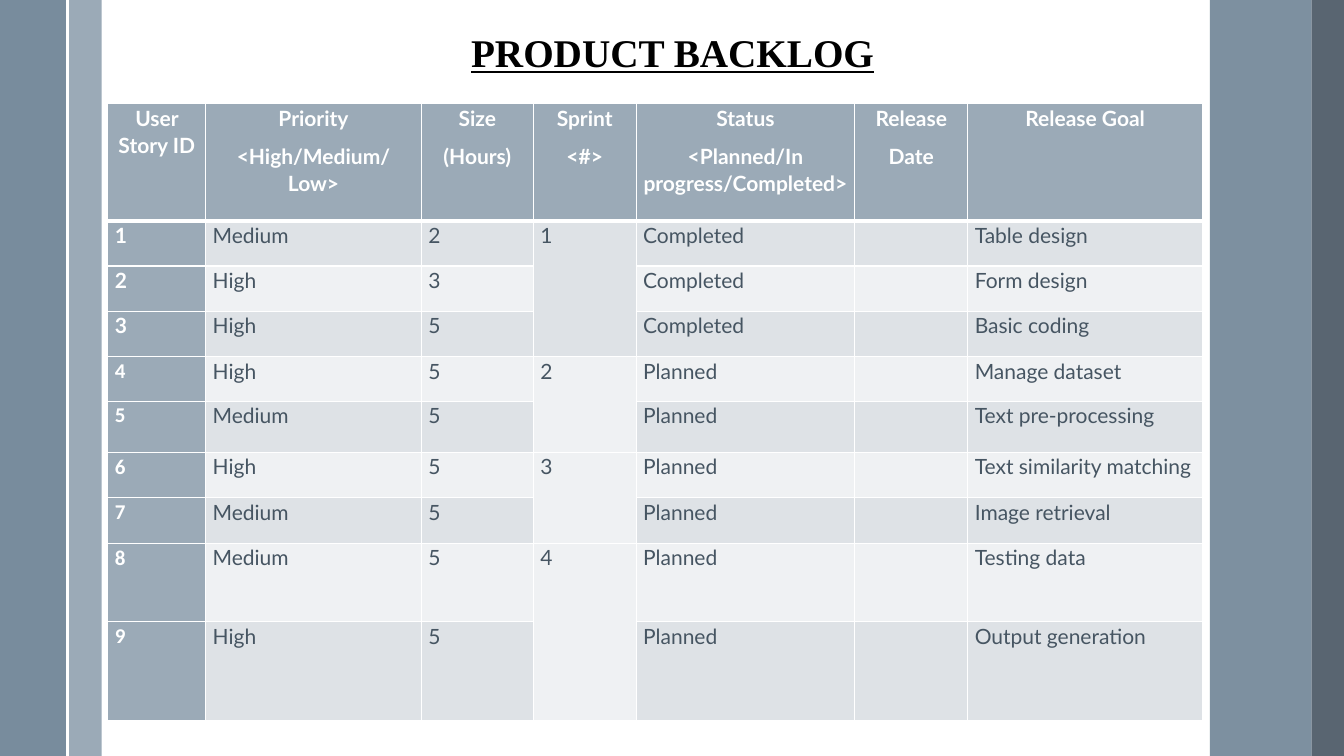
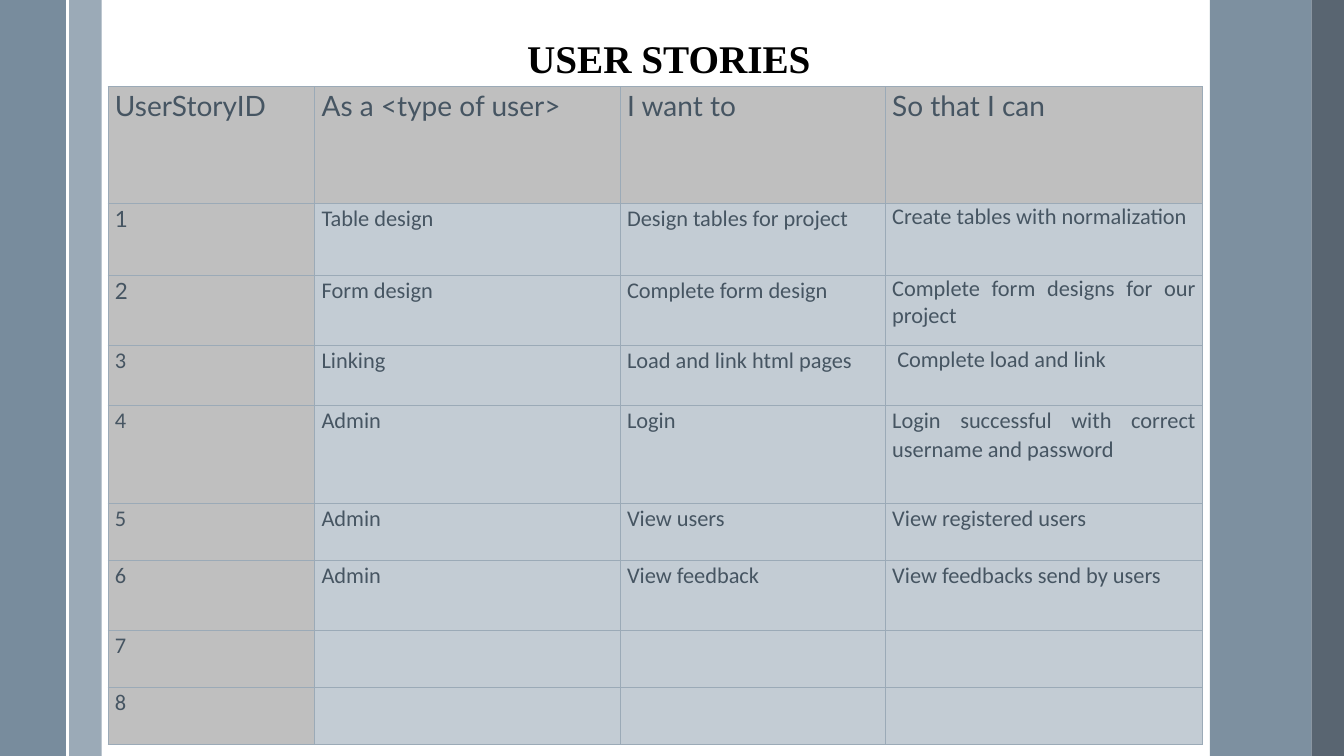
"""Build the product backlog and user stories slides."""
from lxml import etree
from pptx import Presentation
from pptx.dml.color import RGBColor
from pptx.enum.shapes import MSO_CONNECTOR, MSO_SHAPE
from pptx.enum.text import PP_ALIGN
from pptx.oxml.ns import qn
from pptx.util import Inches, Pt

RECT = MSO_SHAPE.RECTANGLE
STRAIGHT = MSO_CONNECTOR.STRAIGHT
LEFT, CENTER, JUSTIFY = PP_ALIGN.LEFT, PP_ALIGN.CENTER, PP_ALIGN.JUSTIFY

WHITE = RGBColor(0xFF, 0xFF, 0xFF)
BLACK = RGBColor(0x00, 0x00, 0x00)
INK = RGBColor(0x46, 0x55, 0x62)
CHARCOAL = RGBColor(0x47, 0x55, 0x62)
STEEL = RGBColor(0x6A, 0x80, 0x93)
MIST = RGBColor(0x9B, 0xAA, 0xB7)
PALE = RGBColor(0xC3, 0xCC, 0xD4)
GRAY = RGBColor(0xBF, 0xBF, 0xBF)
STRIPES = RGBColor(0xEF, 0xF1, 0xF3), RGBColor(0xDE, 0xE2, 0xE6)

SLIDE_W, SLIDE_H = 13.33, 7.5
TABLE_X = 1.07
BANDS = [
    (0.68, 0.33, MIST, 100),
    (0, 0.67, STEEL, 90),
    (12, 1.01, STEEL, 87),
    (13.01, 0.33, CHARCOAL, 90),
]
RULE_X = 0.67

BACKLOG_COLS = [0.97, 2.14, 1.11, 1.02, 2.17, 1.12, 2.33]
BACKLOG_ROWS = [1.16, 0.45, 0.45, 0.45, 0.44, 0.51, 0.45, 0.45, 0.78, 0.98]
BACKLOG = [
    ["User Story ID", "Priority\n<High/Medium/Low>", "Size\n(Hours)", "Sprint\n<#>",
     "Status\n<Planned/In progress/Completed>", "Release\nDate", "Release Goal"],
    ["1", "Medium", "2", "1", "Completed", "", "Table design"],
    ["2", "High", "3", "", "Completed", "", "Form design"],
    ["3", "High", "5", "", "Completed", "", "Basic coding"],
    ["4", "High", "5", "2", "Planned", "", "Manage dataset"],
    ["5", "Medium", "5", "", "Planned", "", "Text pre-processing"],
    ["6", "High", "5", "3", "Planned", "", "Text similarity matching"],
    ["7", "Medium", "5", "", "Planned", "", "Image retrieval"],
    ["8", "Medium", "5", "4", "Planned", "", "Testing data"],
    ["9", "High", "5", "", "Planned", "", "Output generation"],
]
SPRINT_COL = 3
SPRINT_SPANS = [(1, 3), (4, 5), (6, 7), (8, 9)]

STORY_COLS = [2.05, 3.03, 2.63, 3.15]
STORY_ROWS = [1.16, 0.71, 0.7, 0.59, 0.97, 0.57, 0.69, 0.57, 0.57]
STORIES = [
    ["UserStoryID", "As a <type of user>", "I want to", "So that I can"],
    ["1", "Table design", "Design tables for project", "Create tables with normalization"],
    ["2", "Form design", "Complete form design", "Complete form designs for our project"],
    ["3", "Linking", "Load and link html pages", "Complete load and link"],
    ["4", "Admin", "Login", "Login successful with correct username and password"],
    ["5", "Admin", "View users", "View registered users"],
    ["6", "Admin", "View feedback", "View feedbacks send by users"],
    ["7", "", "", ""],
    ["8", "", "", ""],
]


def add_band(s, x, w, color, opacity):
    """Add a full-height side band."""
    band = s.shapes.add_shape(RECT, Inches(x), 0, Inches(w), Inches(SLIDE_H))
    band.shadow.inherit = False
    band.line.fill.background()
    band.fill.solid()
    band.fill.fore_color.rgb = color
    if opacity < 100:
        clr = band.fill._xPr.find(".//" + qn("a:srgbClr"))
        etree.SubElement(clr, qn("a:alpha"), val=str(opacity * 1000))


def add_frame(prs):
    """Add a blank slide with the shared side bands."""
    s = prs.slides.add_slide(prs.slide_layouts[6])
    for i, band in enumerate(BANDS):
        add_band(s, *band)
        if i == 1:
            x = Inches(RULE_X)
            rule = s.shapes.add_connector(STRAIGHT, x, 0, x, Inches(SLIDE_H))
            rule.line.color.rgb = WHITE
            rule.line.width = Pt(1.5)
            etree.SubElement(rule._element.spPr, qn("a:effectLst"))
    return s


def add_title(s, text, x, y, w, align, underline=False):
    """Add the slide title."""
    box = s.shapes.add_textbox(Inches(x), Inches(y), Inches(w), Inches(0.57))
    tf = box.text_frame
    tf.word_wrap = True
    tf.text = text
    p = tf.paragraphs[0]
    p.alignment = align
    f = p.font
    f.name, f.size, f.bold, f.underline = "Times New Roman", Pt(28), True, underline
    f.color.rgb = BLACK


def add_grid(s, y, cols, rows):
    """Add an empty table with the given column widths and row heights."""
    shape = s.shapes.add_table(len(rows), len(cols), Inches(TABLE_X), Inches(y),
                               Inches(sum(cols)), Inches(sum(rows)))
    table = shape.table
    table.first_row = table.horz_banding = False
    for col, w in zip(table.columns, cols):
        col.width = Inches(w)
    for row, h in zip(table.rows, rows):
        row.height = Inches(h)
    return table


def style_cell(cell, fill, border, width, top=None, bottom=None):
    """Set the borders, fill and margins of a cell."""
    tc_pr = cell._tc.get_or_add_tcPr()
    sides = {"L": width, "R": width, "T": top or width, "B": bottom or width}
    for side, pts in sides.items():
        ln = etree.SubElement(tc_pr, qn("a:ln" + side), w=str(Pt(pts)))
        solid = etree.SubElement(ln, qn("a:solidFill"))
        etree.SubElement(solid, qn("a:srgbClr"), val=str(border))
    cell.fill.solid()
    cell.fill.fore_color.rgb = fill
    cell.margin_left = cell.margin_right = Inches(0.07)
    cell.margin_top = cell.margin_bottom = 0


def write_cell(cell, text, font, size, color, align, bold=False, spaced=True):
    """Write one paragraph per line of text into a cell."""
    if not text:
        return
    cell.text = text
    for p in cell.text_frame.paragraphs:
        p.alignment = align
        if spaced:
            p.line_spacing, p.space_after = 1.07, Pt(8)
        f = p.font
        f.name, f.size, f.bold = font, Pt(size), bold
        f.color.rgb = color


def add_backlog(s):
    """Add the product backlog table."""
    table = add_grid(s, 1.03, BACKLOG_COLS, BACKLOG_ROWS)
    for r, row in enumerate(BACKLOG):
        for c, text in enumerate(row):
            cell = table.cell(r, c)
            strong = r == 0 or c == 0
            style_cell(cell, MIST if strong else STRIPES[r % 2], WHITE, 1,
                       top=3 if r == 1 else None, bottom=3 if r == 0 else None)
            write_cell(cell, text, "Calibri" if c == 0 and r > 3 else "Lato", 15,
                       WHITE if strong else INK, CENTER if r == 0 else LEFT, strong)
    for first, last in SPRINT_SPANS:
        table.cell(first, SPRINT_COL).merge(table.cell(last, SPRINT_COL))


def add_stories(s):
    """Add the user stories table."""
    table = add_grid(s, 0.86, STORY_COLS, STORY_ROWS)
    for r, row in enumerate(STORIES):
        for c, text in enumerate(row):
            cell = table.cell(r, c)
            style_cell(cell, GRAY if r == 0 or c == 0 else PALE, MIST, 0.5)
            lato = r == 0 or (c == 0 and r < 3)
            write_cell(cell, text, "Lato" if lato else "Calibri", 20 if r == 0 else 16,
                       INK, JUSTIFY, spaced=not (c == 3 and 1 <= r <= 3))
    table.cell(3, 3).margin_left = Inches(0.12)


def main():
    """Build and save the presentation."""
    prs = Presentation()
    prs.slide_width, prs.slide_height = Inches(SLIDE_W), Inches(SLIDE_H)

    s = add_frame(prs)
    add_title(s, "PRODUCT BACKLOG", 3.81, 0.23, 5.72, CENTER, underline=True)
    add_backlog(s)

    s = add_frame(prs)
    add_title(s, "USER STORIES", 5.13, 0.29, 3.07, LEFT)
    add_stories(s)

    prs.save("out.pptx")


if __name__ == "__main__":
    main()
